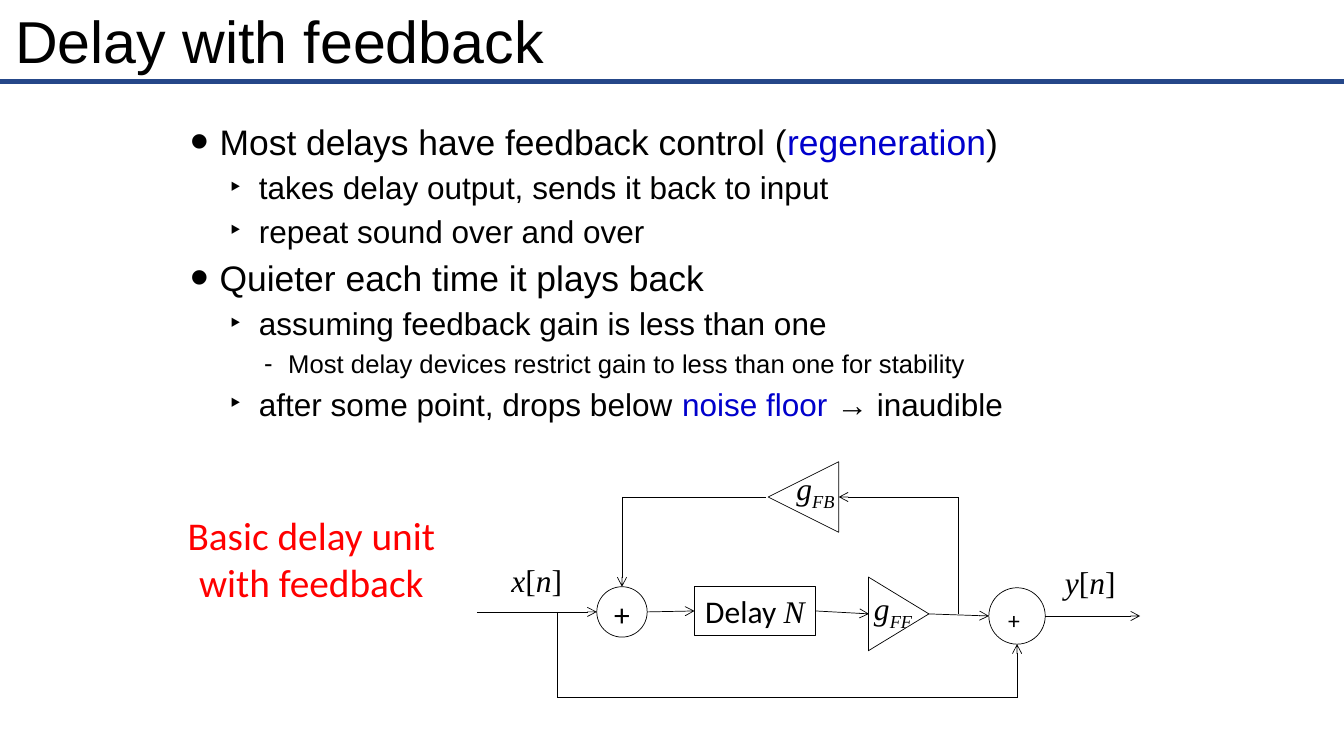
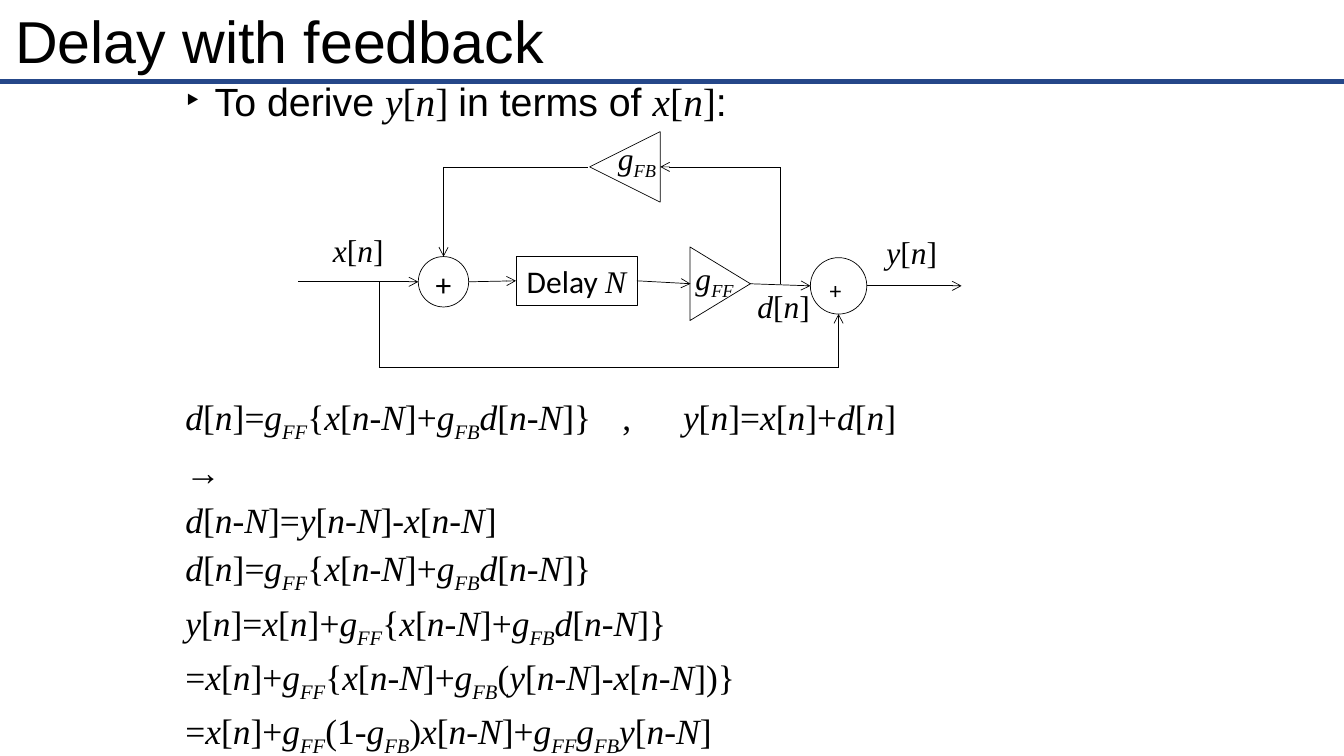
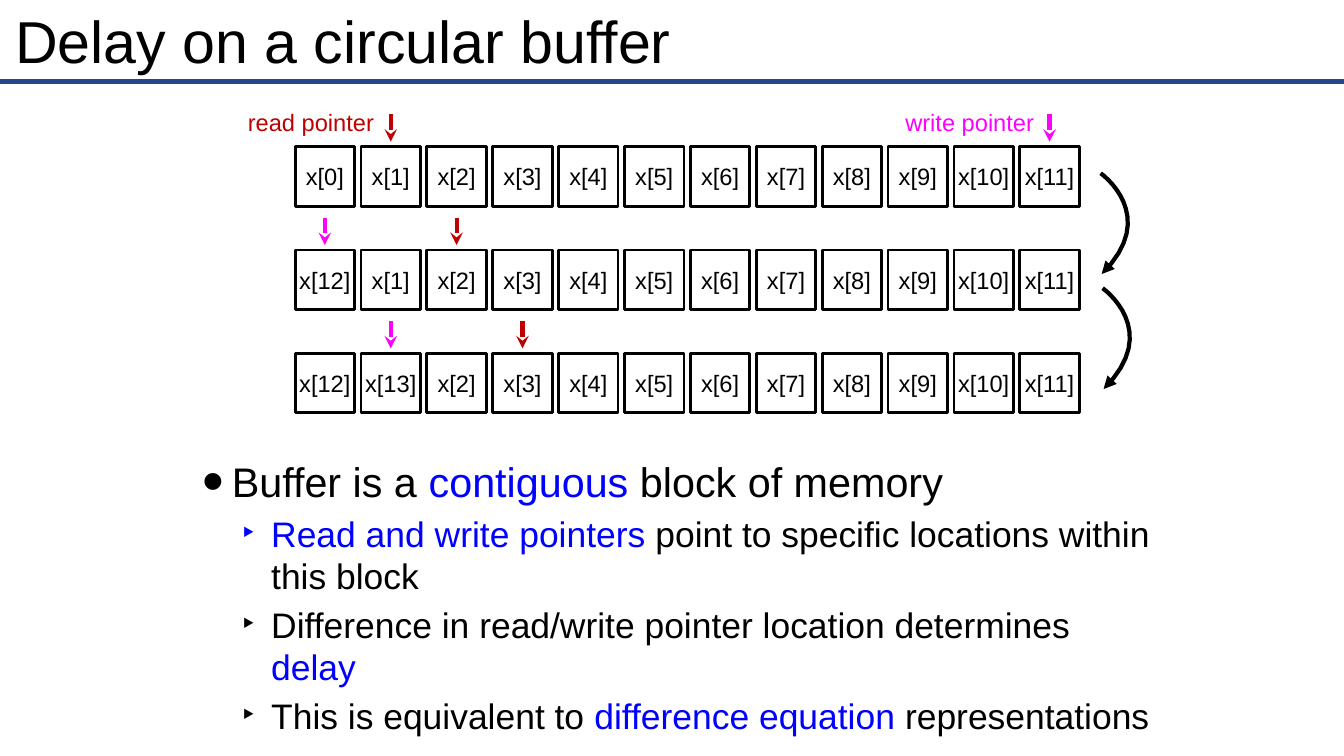
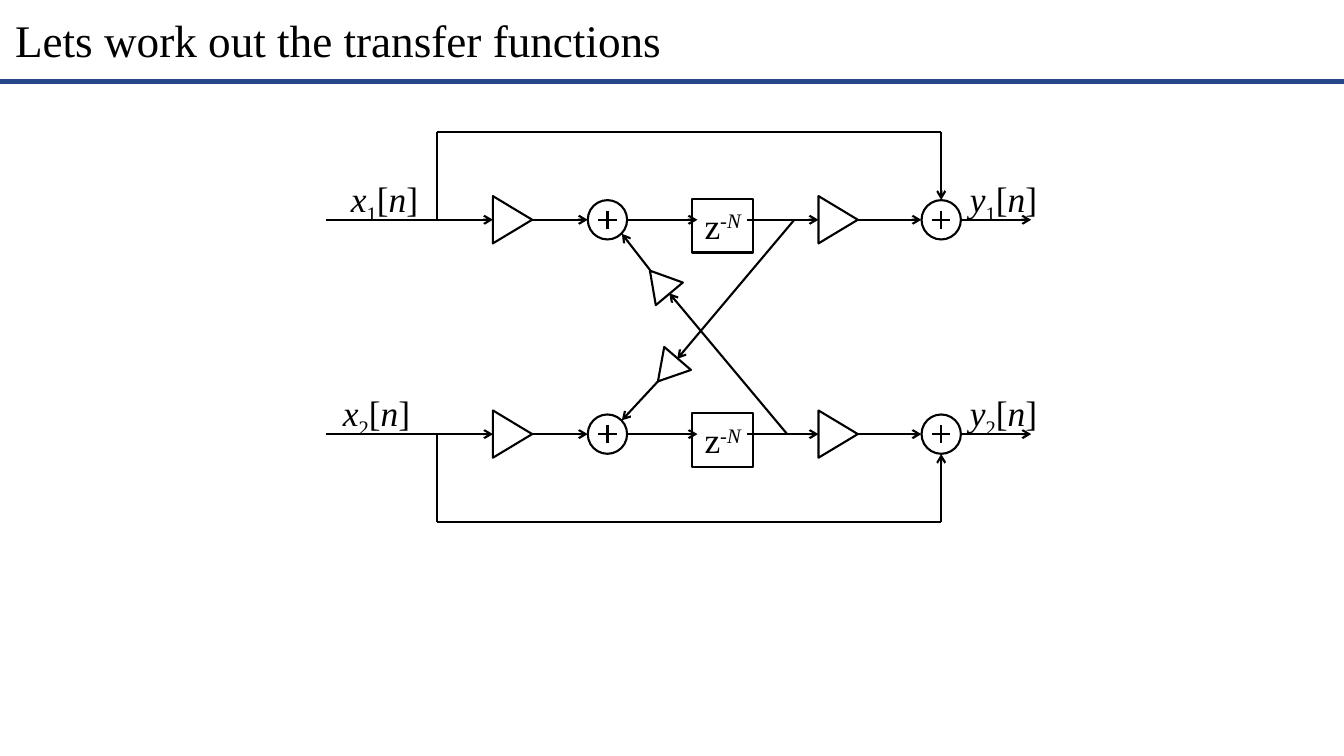
"""Builds four slides on feedback delays, circular buffers and transfer functions."""
import dataclasses
import itertools

import lxml.etree
import pptx
import pptx.dml.color
import pptx.enum.shapes
import pptx.enum.text
import pptx.oxml.ns
import pptx.util

Pt = pptx.util.Pt
RGBColor = pptx.dml.color.RGBColor
Shape = pptx.enum.shapes.MSO_SHAPE
Align = pptx.enum.text.PP_ALIGN
Anchor = pptx.enum.text.MSO_ANCHOR
qn = pptx.oxml.ns.qn

BLACK = RGBColor(0x00, 0x00, 0x00)
RULE_BLUE = RGBColor(0x25, 0x47, 0x89)
DEEP_BLUE = RGBColor(0x00, 0x00, 0xCC)
BRIGHT_BLUE = RGBColor(0x00, 0x00, 0xFF)
RED = RGBColor(0xFF, 0x00, 0x00)
DARK_RED = RGBColor(0xC0, 0x00, 0x00)
MAGENTA = RGBColor(0xFF, 0x00, 0xFF)

SANS = "Arial"
LABEL = "Calibri"
SERIF = "Times New Roman"

PARAGRAPH_GAP = 4.2
TIGHT = (4.3, 4.3)
NORMAL = (7.2, 3.6)
NONE = (0, 0)


@dataclasses.dataclass
class Level:
    """Format of one outline level, lengths in points."""
    size: float
    margin: float
    hang: float
    mark: str
    mark_scale: int = 100


def add_child(parent, tag, **attributes):
    """Appends a DrawingML element to its parent."""
    child = lxml.etree.SubElement(parent, qn(tag))
    for name, value in attributes.items():
        child.set(name, str(value))
    return child


def formula(text):
    """Splits a formula into runs: letters are italic, <..> is a subscript."""
    pieces = []
    for part in text.split("<"):
        subscript, closing, normal = part.rpartition(">")
        for chunk, baseline in ((subscript, -25), (normal, 0)):
            for italic, letters in itertools.groupby(chunk, lambda c: c.isalpha() or c == "-"):
                pieces.append(("".join(letters),
                               {"font": SERIF, "italic": italic, "baseline": baseline}))
    return pieces


def add_run(paragraph, text, *, size=16.9, font=SANS, color=BLACK, italic=False, baseline=0):
    """Adds formatted text to a paragraph."""
    run = paragraph.add_run()
    run.text = text
    run.font.size = Pt(size)
    run.font.name = font
    run.font.color.rgb = color
    run.font.italic = italic
    if baseline:
        run._r.get_or_add_rPr().set("baseline", str(baseline * 1000))


def write(frame, paragraphs, *, insets=NORMAL, anchor=Anchor.TOP, align=Align.CENTER,
          wrap=False, before=0, tabs=(), **style):
    """Fills a text frame; a paragraph is a string or a list of runs."""
    frame.word_wrap = wrap
    frame.vertical_anchor = anchor
    frame.margin_left = frame.margin_right = Pt(insets[0])
    frame.margin_top = frame.margin_bottom = Pt(insets[1])
    for index, pieces in enumerate(paragraphs):
        paragraph = frame.add_paragraph() if index else frame.paragraphs[0]
        paragraph.alignment = align
        paragraph.space_before = Pt(before)
        if tabs:
            stops = add_child(paragraph._p.get_or_add_pPr(), "a:tabLst")
            for position in tabs:
                add_child(stops, "a:tab", pos=Pt(position), algn="l")
        for piece in [pieces] if isinstance(pieces, str) else pieces:
            text, special = (piece, {}) if isinstance(piece, str) else piece
            add_run(paragraph, text, **{**style, **special})


class Deck:
    """Holds the presentation, the current slide and the shared style."""

    def __init__(self):
        """Starts an empty widescreen presentation."""
        self.presentation = pptx.Presentation()
        self.presentation.slide_width = Pt(960)
        self.presentation.slide_height = Pt(540)
        self.weight = 0.5

    def new_slide(self, title, *, weight=0.5, size=42.2, font=SANS):
        """Adds a slide with its title and rule and sets its line weight."""
        layout = self.presentation.slide_layouts[6]
        self.shapes = self.presentation.slides.add_slide(layout).shapes
        self.weight = weight
        self.wire((0, 58.3), (960, 58.3), color=RULE_BLUE, weight=3)
        self.text((6.5, 2.9, 946, 51), [title], insets=TIGHT, anchor=Anchor.MIDDLE,
                  align=Align.LEFT, wrap=True, size=size, font=font)

    def text(self, box, paragraphs, **style):
        """Adds a text box."""
        frame = self.shapes.add_textbox(*map(Pt, box)).text_frame
        write(frame, paragraphs, **style)
        return frame

    def outline(self, box, levels, entries, **style):
        """Adds a bulleted text box from (depth, runs) entries."""
        paragraphs = []
        for depth, pieces in entries:
            size = {"size": levels[depth].size}
            paragraphs.append([(piece, size) if isinstance(piece, str)
                               else (piece[0], {**size, **piece[1]}) for piece in pieces])
        frame = self.text(box, paragraphs, align=Align.LEFT, wrap=True,
                          before=PARAGRAPH_GAP, **style)
        for paragraph, (depth, pieces) in zip(frame.paragraphs, entries):
            level = levels[depth]
            paragraph.level = depth
            properties = paragraph._p.get_or_add_pPr()
            properties.set("marL", str(Pt(level.margin)))
            properties.set("indent", str(Pt(-level.hang)))
            add_child(properties, "a:buSzPct", val=level.mark_scale * 1000)
            add_child(properties, "a:buFont", typeface=SANS)
            add_child(properties, "a:buChar", char=level.mark)

    def outlined(self, shape, rotation=0):
        """Gives a shape the slide's outline, with no fill or shadow."""
        shape.shadow.inherit = False
        shape.fill.background()
        shape.line.color.rgb = BLACK
        shape.line.width = Pt(self.weight)
        shape.rotation = rotation
        return shape

    def block(self, box, pieces, **style):
        """Adds a rectangle with a label."""
        shape = self.outlined(self.shapes.add_shape(Shape.RECTANGLE, *map(Pt, box)))
        write(shape.text_frame, [pieces], **style)

    def centred(self, kind, x, y, width, height, rotation=0):
        """Adds a shape around its centre."""
        box = (x - width / 2, y - height / 2, width, height)
        self.outlined(self.shapes.add_shape(kind, *map(Pt, box)), rotation)

    def gain(self, x, y, width, height, rotation=90):
        """Adds a gain triangle around its centre."""
        self.centred(Shape.ISOSCELES_TRIANGLE, x, y, width, height, rotation)

    def adder(self, x, y, diameter):
        """Adds the circle of an adder."""
        self.centred(Shape.OVAL, x, y, diameter, diameter)

    def wire(self, *points, arrow=None, color=BLACK, weight=None):
        """Joins points by straight lines, with an arrowhead at the last one."""
        for start, end in itertools.pairwise(points):
            connector = self.shapes.add_connector(
                pptx.enum.shapes.MSO_CONNECTOR.STRAIGHT, *map(Pt, start + end))
            connector.line.color.rgb = color
            connector.line.width = Pt(weight or self.weight)
            properties = connector.element.spPr
            if arrow and end is points[-1]:
                add_child(properties.find(qn("a:ln")), "a:tailEnd", type=arrow)
            add_child(properties, "a:effectLst")

    def curve(self, x, y, steps=16):
        """Adds a bowed arrow that leads down to the next row."""
        points = []
        for step in range(1, steps + 1):
            t = step / steps
            bow, finish = 3 * t * t * (1 - t), t ** 3
            points.append((Pt(x + 43.2 * bow + 0.7 * finish),
                           Pt(y + 30.3 * bow + 72 * finish)))
        builder = self.shapes.build_freeform(Pt(x), Pt(y))
        builder.add_line_segments(points, close=False)
        arc = self.outlined(builder.convert_to_shape())
        arc.line.width = Pt(3)
        add_child(arc.element.spPr.find(qn("a:ln")), "a:tailEnd", type="triangle")


def draw_feedback_delay(deck, left, top):
    """Draws the delay unit with feedback from its top left corner."""
    def wire(*points, arrow="arrow"):
        """Draws a wire in diagram coordinates."""
        deck.wire(*((left + x, top + y) for x, y in points), arrow=arrow)

    def label(x, y, width, text):
        """Adds a signal or gain label."""
        deck.text((left + x, top + y, width, 34.6), [formula(text)], size=22.5)

    deck.adder(left + 103.7, top + 107.3, 36)
    deck.text((left + 85.7, top + 91.4, 36, 34.6), ["+"], size=22.5, font=LABEL)
    deck.adder(left + 385.9, top + 110.2, 40.3)
    deck.text((left + 372.2, top + 99.4, 23, 27.4), ["+"], size=16.9, font=LABEL)
    deck.block((left + 155.5, top + 89.3, 86.4, 34.6),
               ["Delay ", ("N", {"font": SERIF, "italic": True})], size=22.5, font=LABEL)
    deck.gain(left + 301.3, top + 108.7, 52.6, 43.2)
    deck.gain(left + 233.3, top + 25.2, 50.4, 50.4, 270)

    wire((0, 107.3), (85.7, 107.3))
    wire((121.7, 107.3), (155.5, 106.6))
    wire((241.9, 106.6), (280.1, 108.7))
    wire((322.6, 108.7), (365.8, 110.2))
    wire((406.1, 110.2), (473.8, 110.2))
    wire((57.6, 107.3), (57.6, 168.5), (385.9, 168.5), (385.9, 130.3))
    wire((344.2, 108.7), (344.2, 25.2), (258.5, 25.2))
    wire((206.6, 25.2), (103.7, 25.2), (103.7, 89.3))

    label(17.3, 67.7, 51.1, "x[n]")
    label(412.6, 69.1, 51.1, "y[n]")
    label(275, 87.1, 44.6, "g<FF>")
    label(219.6, 1.4, 44.6, "g<FB>")


def build_feedback(deck):
    """Builds the slide that introduces feedback."""
    deck.new_slide("Delay with feedback")
    key = {"color": DEEP_BLUE}
    levels = [Level(25.3, 32.4, 20.9, "•", 150), Level(22.5, 60.5, 20.9, "‣"),
              Level(18.3, 81.4, 17.3, "-")]
    deck.outline((120.2, 60.5, 720, 266.4), levels, [
        (0, ["Most delays have feedback control (", ("regeneration", key), ")"]),
        (1, ["takes delay output, sends it back to input"]),
        (1, ["repeat sound over and over"]),
        (0, ["Quieter each time it plays back"]),
        (1, ["assuming feedback gain is less than one"]),
        (2, ["Most delay devices restrict gain to less than one for stability"]),
        (1, ["after some point, drops below ", ("noise floor ", key), "→ inaudible"]),
    ], insets=TIGHT, anchor=Anchor.MIDDLE)
    deck.text((120.2, 361.4, 204.5, 75.6), ["Basic delay unit with feedback"],
              wrap=True, size=28.1, font=LABEL, color=RED)
    draw_feedback_delay(deck, 340.6, 329.8)


def build_derivation(deck):
    """Builds the slide that derives the difference equation."""
    deck.new_slide("Delay with feedback")
    deck.outline((132.5, 55.4, 715, 37), [Level(28.1, 20.9, 20.9, "‣")], [
        (0, ["To derive ", *formula("y[n] "), "in terms of ", *formula("x[n]"), ":"]),
    ], insets=NONE)
    equations = [
        "d[n]=g<FF>{x[n-N]+g<FB>d[n-N]}\t,\ty[n]=x[n]+d[n]",
        "→",
        "d[n-N]=y[n-N]-x[n-N]",
        "d[n]=g<FF>{x[n-N]+g<FB>d[n-N]}",
        "y[n]=x[n]+g<FF>{x[n-N]+g<FB>d[n-N]}",
        "=x[n]+g<FF>{x[n-N]+g<FB>(y[n-N]-x[n-N])}",
        "=x[n]+g<FF>(1-g<FB>)x[n-N]+g<FF>g<FB>y[n-N]",
    ]
    deck.text((132.5, 282.5, 715, 246), [formula(line) for line in equations], insets=NONE,
              align=Align.LEFT, wrap=True, before=PARAGRAPH_GAP, tabs=(312, 355.4), size=25.3)
    draw_feedback_delay(deck, 213.1, 94)
    deck.text((533.5, 201.6, 52.6, 34.6), [formula("d[n]")], size=22.5)


def build_circular_buffer(deck):
    """Builds the slide on the circular buffer."""
    deck.new_slide("Delay on a circular buffer", weight=2)
    slots, cell, pitch, left = 12, 42.5, 47.06, 210.8
    first_row, row_pitch = 104.8, 73.8
    label_width, label_gap = 110, 57

    for row in range(3):
        top = first_row + row * row_pitch
        for slot in range(slots):
            sample = slot + slots if slot < row else slot
            deck.block((left + slot * pitch, top, cell, cell), f"x[{sample}]",
                       insets=NONE, anchor=Anchor.MIDDLE)
        for name, start, color in (("read", 1, DARK_RED), ("write", slots - 1, MAGENTA)):
            x = left + (start + row) % slots * pitch + cell / 2
            deck.wire((x, top - 23), (x, top - 3.6), arrow="stealth", color=color, weight=3)
            if row == 0:
                deck.text((x - label_gap - label_width / 2, 77, label_width, 20.2),
                          [f"{name} pointer"], insets=NONE, anchor=Anchor.MIDDLE, color=color)
    for step in range(2):
        deck.curve(786.2 + 1.4 * step, 123.8 + 82.1 * step)

    key = {"color": BRIGHT_BLUE}
    levels = [Level(29.5, 35.3, 20.9, "•", 150), Level(25.3, 63.4, 20.9, "‣")]
    deck.outline((126, 321.8, 709.2, 213.8), levels, [
        (0, ["Buffer is a ", ("contiguous", key), " block of memory"]),
        (1, [("Read and write pointers", key), " point to specific locations within this block"]),
        (1, ["Difference in read/write pointer location determines ", ("delay", key)]),
        (1, ["This is equivalent to ", ("difference equation", key), " representations"]),
    ], insets=TIGHT)


def build_transfer_functions(deck):
    """Builds the slide with the cross-coupled delays."""
    deck.new_slide("Lets work out the transfer functions", weight=1.5, size=32.3, font=SERIF)
    tap, first_adder, last_adder = 312.3, 433.9, 672.3
    arm = 6.5
    delay = ["z", ("-", {"baseline": 30}), ("N", {"baseline": 30, "italic": True})]

    for channel, axis, side, input_left in ((1, 157, -1, 242.6), (2, 310.1, 1, 236.9)):
        for start, end in ((232.6, 352.1), (380.2, 419.8), (448.6, 498.2),
                           (533.5, 584.6), (612.7, 658.1), (686.2, 736.6)):
            deck.wire((start, axis), (end, axis), arrow="arrow")
        for x in (366.1, 598.7):
            deck.gain(x, axis, 33.8, 28.1)
        for x in (first_adder, last_adder):
            deck.adder(x, axis, 28.1)
            deck.wire((x - arm, axis), (x + arm, axis))
            deck.wire((x, axis - arm), (x, axis + arm))
        deck.block((494.6, axis - 14.8, 43.2, 38.2), delay, size=25.3, font=SERIF)
        bypass = axis + side * 62.5
        deck.wire((tap, axis), (tap, bypass), (last_adder, bypass),
                  (last_adder, axis + side * 14.2), arrow="arrow")
        for signal, x in (("x", input_left), ("y", 684.7)):
            deck.text((x, axis - 34.2, 64.1, 38.2), [formula(f"{signal}<{channel}>[n]")],
                      size=25.3)

    deck.wire((562.3, 310.1), (478.1, 209.5), arrow="arrow")
    deck.gain(471.2, 201.6, 25.2, 21.6, 320.1)
    deck.wire((464.4, 193), (444.2, 167), arrow="arrow")
    deck.wire((567.4, 157), (483.8, 256.3), arrow="arrow")
    deck.gain(477, 264.2, 25.2, 21.6, 220.7)
    deck.wire((470.2, 272.2), (444.2, 300.2), arrow="arrow")


def main():
    """Builds and saves the four slides."""
    deck = Deck()
    build_feedback(deck)
    build_derivation(deck)
    build_circular_buffer(deck)
    build_transfer_functions(deck)
    deck.presentation.save("out.pptx")


if __name__ == "__main__":
    main()
